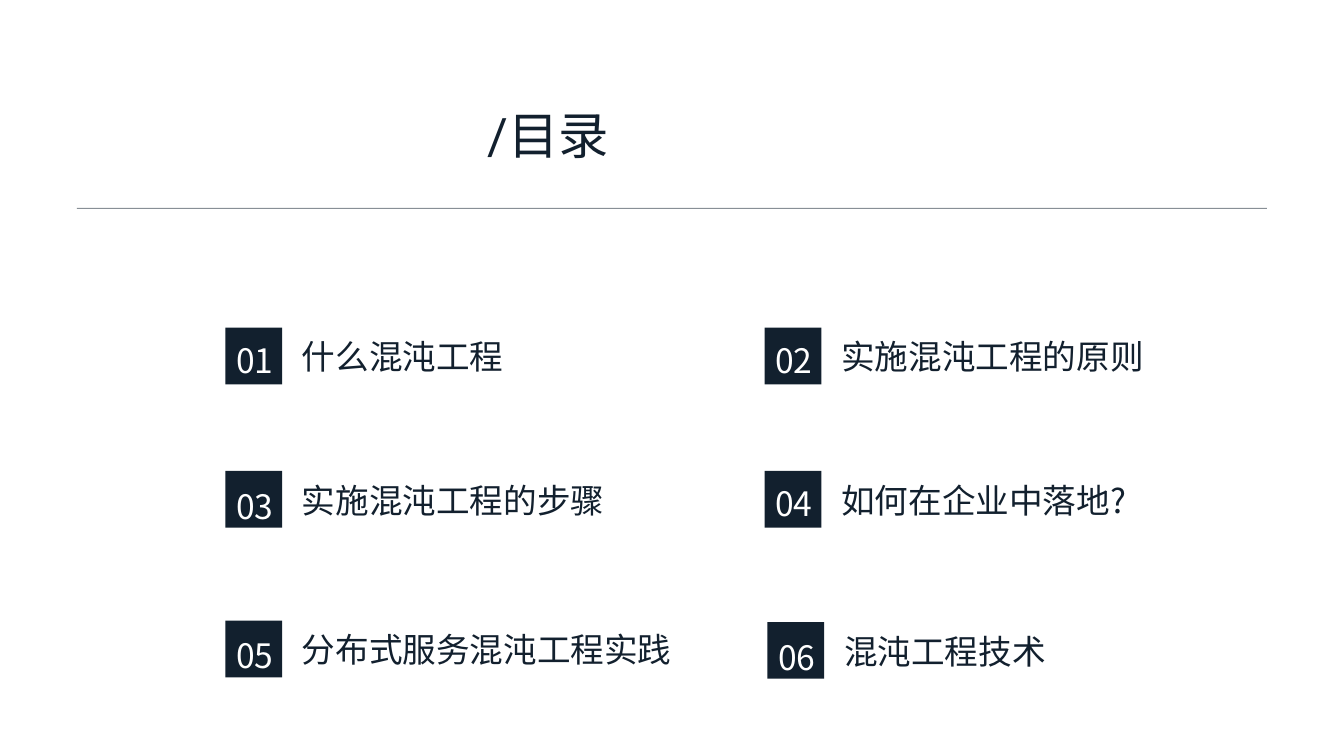
import pptx
import pptx.util
import pptx.dml.color
import pptx.enum.shapes
import pptx.enum.text
from lxml import etree

Pt = pptx.util.Pt
ALIGN = pptx.enum.text.PP_ALIGN
RECT = pptx.enum.shapes.MSO_SHAPE.RECTANGLE

# Content
TITLE = "/目录"
NAVY, WHITE = "12202E", "FFFFFF"
SANS, ROBOTO = "Noto Sans CJK SC", "Roboto"
# topic, drop of its number below the top of the box, shift of the whole item
ITEMS = [
    ("什么混沌工程", 5, (0, 0)),
    ("实施混沌工程的原则", 5, (0, 0)),
    ("实施混沌工程的步骤", 7.2, (0, 0)),
    ("如何在企业中落地?", 5, (0, 0)),
    ("分布式服务混沌工程实践", 6.5, (0, 0)),
    ("混沌工程技术", 6.5, (2, 1)),
]
COLS, ROWS = (161, 546.2), (234, 336.4, 443.3)
BOX = 40.5


def color(code):
    return pptx.dml.color.RGBColor.from_string(code)


def block(x, y, w, h):
    """Draw a plain navy rectangle."""
    shape = slide.shapes.add_shape(RECT, Pt(x), Pt(y), Pt(w), Pt(h))
    shape.shadow.inherit = False
    shape.fill.solid()
    shape.fill.fore_color.rgb = color(NAVY)
    shape.line.fill.background()
    return shape


def write(shape, text, size, font, code, space, left=0):
    """Fill a text shape and return its paragraph."""
    frame = shape.text_frame
    frame.word_wrap = True
    frame.auto_size = pptx.enum.text.MSO_AUTO_SIZE.NONE
    frame.vertical_anchor = pptx.enum.text.MSO_ANCHOR.TOP
    frame.margin_left, frame.margin_right = Pt(left), Pt(7.2)
    frame.margin_top = frame.margin_bottom = Pt(3.6)
    frame.text = text
    para = frame.paragraphs[0]
    para.alignment = ALIGN.LEFT
    para.line_spacing = space
    para.font.size = Pt(size)
    para.font.name = font
    para.font.color.rgb = color(code)
    return para


def label(x, y, w, h):
    return slide.shapes.add_textbox(Pt(x), Pt(y), Pt(w), Pt(h))


deck = pptx.Presentation()
deck.slide_width, deck.slide_height = Pt(960), Pt(540)
slide = deck.slides.add_slide(deck.slide_layouts[5])

# Title
title = slide.shapes.title
title.left, title.top, title.width, title.height = Pt(348), Pt(78), Pt(115), Pt(39.5)
write(title, TITLE, 36, ROBOTO, NAVY, 0.83)

# Half-transparent rule below the title
rule = block(55, 148.5, 850, 0.7)
tint = rule.fill._xPr.find(".//" + pptx.oxml.ns.qn("a:srgbClr"))
etree.SubElement(tint, pptx.oxml.ns.qn("a:alpha"), val="50000")

# Numbered topics, two to a row
for i, (topic, drop, (dx, dy)) in enumerate(ITEMS):
    x, y = COLS[i % 2] + dx, ROWS[i // 2] + dy
    block(x, y, BOX, BOX)
    num = write(label(x - 6.5, y + drop, 55, 27.5), f"{i + 1:02}",
                24, SANS, WHITE, 1.01, 7.2)
    num.alignment = ALIGN.CENTER
    name = write(label(x + 54.7, y + 5.8, 290, 29), topic, 24, SANS, NAVY, 0.9)
    name.space_before = Pt(10)

deck.save("out.pptx")
